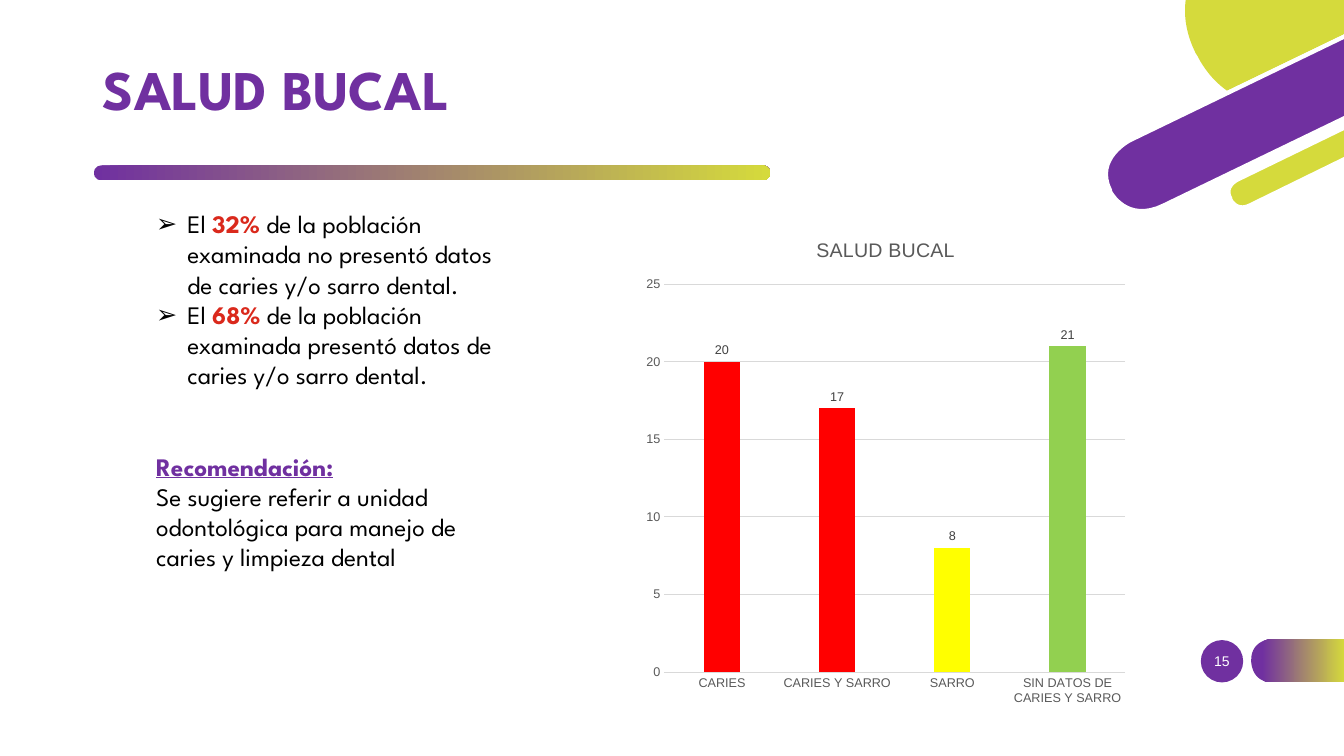
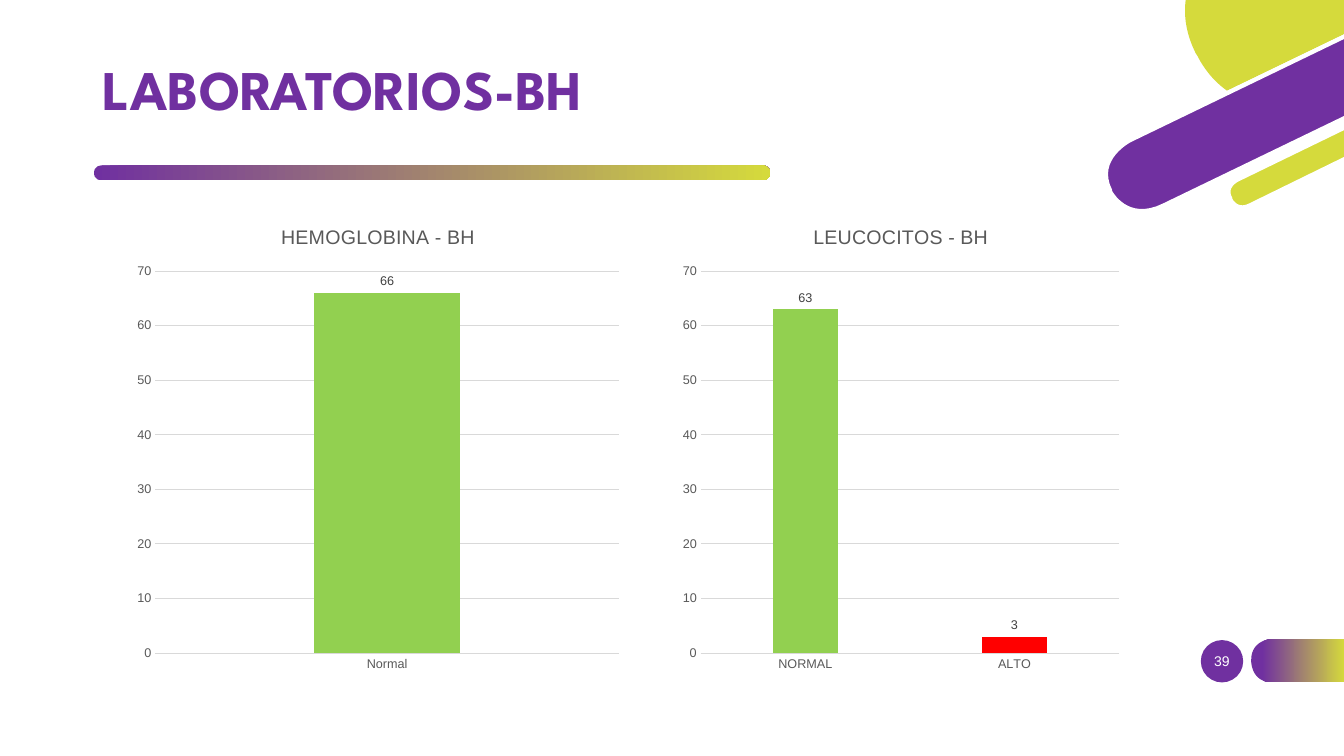
from lxml import etree
from pptx import Presentation
from pptx import util as u
from pptx.chart.data import CategoryChartData
from pptx.dml.color import RGBColor
from pptx.enum import chart as charts, shapes, text
from pptx.oxml.ns import qn
from pptx.util import Inches, Pt

COLORS = {
    "purple": "7030A0", "lime": "D5DA3C", "white": "FFFFFF", "black": "000000",
    "alert": "DA291C", "red": "FF0000", "yellow": "FFFF00", "green": "92D050",
    "axis": "595959", "label": "404040", "grid": "D9D9D9",
}
HEADING_FONT = "League Spartan"
CHART_FONT = "Arial"

# Outlines: a pair is a corner, six numbers are a Bézier curve to the last pair.
LIME_DISC = [(11.88, 0.56), (11.88, 0.56, 11.97, 0.76, 12.17, 0.9), (13.33, 0.34),
             (13.33, 0), (11.76, 0), (11.74, 0.15, 11.76, 0.33, 11.86, 0.53)]
PURPLE_BAND = [(11.21, 1.39), (11.21, 1.39, 10.85, 1.57, 11.01, 1.89),
               (11.01, 1.9), (11.01, 1.9, 11.17, 2.22, 11.54, 2.04),
               (13.36, 1.16), (13.36, 0.35)]
LIME_BAND = [(12.27, 1.78), (12.27, 1.78, 12.13, 1.85, 12.2, 1.97),
             (12.2, 1.98), (12.2, 1.98, 12.26, 2.11, 12.4, 2.04),
             (13.36, 1.57), (13.36, 1.25)]
PAGE_TAB = [(12.62, 6.77), (13.34, 6.77), (13.34, 6.34), (12.62, 6.34),
            (12.62, 6.34, 12.41, 6.34, 12.41, 6.55),
            (12.41, 6.56), (12.41, 6.56, 12.41, 6.77, 12.62, 6.77)]


def rgb(name):
    return RGBColor.from_string(COLORS[name])


def style_font(font, size, color, name=CHART_FONT, bold=False, underline=False):
    font.size, font.name, font.bold, font.underline = Pt(size), name, bold, underline
    font.color.rgb = rgb(color)


def add_text(para, words, **style):
    span = para.add_run()
    span.text = words
    style_font(span.font, **style)


def add_bullet(para, mark, indent):
    props = para._p.get_or_add_pPr()
    props.set("marL", str(indent))
    props.set("indent", str(-indent))
    etree.SubElement(props, qn("a:buFont")).set("typeface", CHART_FONT)
    etree.SubElement(props, qn("a:buChar")).set("char", mark)


def flatten(outline, steps=16):
    """Turn corners and curves into a list of points in EMU."""
    points = []
    for part in outline:
        if len(part) == 2:
            points.append(part)
            continue
        start = points[-1]
        for step in range(1, steps + 1):
            t = step / steps
            weights = ((1 - t) ** 3, 3 * t * (1 - t) ** 2, 3 * t * t * (1 - t), t ** 3)
            curve = (*start, *part)
            points.append(tuple(sum(w * c for w, c in zip(weights, curve[axis::2]))
                                for axis in (0, 1)))
    return [(Inches(x), Inches(y)) for x, y in points]


class HealthDeck:
    """Holds the presentation, its style and the slide being filled."""

    def __init__(self):
        self.deck = Presentation()
        self.deck.slide_width, self.deck.slide_height = Inches(13.33), Inches(7.5)
        self.page = None

    def new_page(self, title, number):
        self.page = self.deck.slides.add_slide(self.deck.slide_layouts[5])
        self.outline(LIME_DISC, "lime")
        self.outline(PURPLE_BAND, "purple", edge=3)
        self.outline(LIME_BAND, "lime", edge=3.5)
        self.fade(self.outline(PAGE_TAB, "purple"), start=0.12)
        rule = self.shape(shapes.MSO_SHAPE.ROUNDED_RECTANGLE, 0.93, 1.64, 6.71, 0.15)
        rule.adjustments[0] = 0.5
        self.fade(rule)
        self.page_number(number)
        self.title(title)

    def finish(self, shape, color, edge=None):
        shape.shadow.inherit = False
        shape.fill.solid()
        shape.fill.fore_color.rgb = rgb(color)
        if edge:
            shape.line.color.rgb = rgb("white")
            shape.line.width = Pt(edge)
        else:
            shape.line.fill.background()
        return shape

    def shape(self, kind, left, top, width, height, color="purple"):
        box = self.page.shapes.add_shape(kind, *map(Inches, (left, top, width, height)))
        return self.finish(box, color)

    def outline(self, outline, color, edge=None):
        first, *others = flatten(outline)
        builder = self.page.shapes.build_freeform(*first, scale=1.0)
        builder.add_line_segments(others, close=True)
        return self.finish(builder.convert_to_shape(), color, edge)

    def fade(self, shape, start=0):
        """Fill from purple on the left to lime on the right."""
        shape.fill.gradient()
        shape.fill.gradient_angle = 0
        for stop, place, color in zip(shape.fill.gradient_stops, (start, 1),
                                      ("purple", "lime")):
            stop.position = place
            stop.color.rgb = rgb(color)

    def page_number(self, number):
        frame = self.shape(shapes.MSO_SHAPE.OVAL, 11.91, 6.35, 0.42, 0.42).text_frame
        frame.margin_left = frame.margin_right = 0
        frame.margin_top = frame.margin_bottom = 0
        frame.vertical_anchor = text.MSO_ANCHOR.MIDDLE
        para = frame.paragraphs[0]
        para.alignment = text.PP_ALIGN.CENTER
        add_text(para, str(number), size=10, color="white")

    def title(self, words):
        box = self.page.shapes.title
        box.left, box.top, box.width, box.height = map(Inches, (0.92, 0.4, 9.9, 1.03))
        frame = box.text_frame
        frame.auto_size = text.MSO_AUTO_SIZE.NONE
        frame.vertical_anchor = text.MSO_ANCHOR.MIDDLE
        para = frame.paragraphs[0]
        para.alignment = text.PP_ALIGN.LEFT
        para.line_spacing = 0.9
        add_text(para, words, size=40, color="purple", name=HEADING_FONT, bold=True)

    def findings(self, bullets, heading, advice):
        """Bullets of (before, figure, after), then a headed recommendation."""
        box = self.page.shapes.add_textbox(*map(Inches, (1.45, 2.02, 3.65, 4.34)))
        frame = box.text_frame
        frame.word_wrap = True
        body = {"size": 18, "name": HEADING_FONT, "color": "black"}
        strong = {**body, "bold": True}
        para = frame.paragraphs[0]
        for before, figure, after in bullets:
            add_bullet(para, "➢", Inches(0.31))
            add_text(para, before, **body)
            add_text(para, figure, **{**strong, "color": "alert"})
            add_text(para, after, **body)
            para = frame.add_paragraph()
        para.space_before = Pt(43.5)
        add_text(para, heading, **{**strong, "color": "purple"}, underline=True)
        add_text(frame.add_paragraph(), advice, **body)

    def column_chart(self, title, place, bars, top_value, step, foot=0.28):
        """Bars are (category, value, colour); foot is the room for categories."""
        data = CategoryChartData()
        data.categories = [name for name, _, _ in bars]
        data.add_series("Series 1", [value for _, value, _ in bars])
        chart = self.page.shapes.add_chart(
            charts.XL_CHART_TYPE.COLUMN_CLUSTERED, *map(Inches, place), data).chart
        style_font(chart.font, 10, "black")
        chart.has_legend = False
        chart.has_title = True
        add_text(chart.chart_title.text_frame.paragraphs[0], title, size=14, color="axis")
        chart.chart_title.include_in_layout = False

        plot = chart.plots[0]
        plot.gap_width, plot.overlap, plot.vary_by_categories = 219, -27, False
        plot.has_data_labels = True
        labels = plot.data_labels
        labels.show_value = True
        labels.position = charts.XL_LABEL_POSITION.OUTSIDE_END
        style_font(labels.font, 9, "label")
        for index, (_, _, color) in enumerate(bars):
            fill = plot.series[0].points[index].format.fill
            fill.solid()
            fill.fore_color.rgb = rgb(color)

        categories, values = chart.category_axis, chart.value_axis
        for axis in (categories, values):
            axis.major_tick_mark = axis.minor_tick_mark = charts.XL_TICK_MARK.NONE
            style_font(axis.tick_labels.font, 9, "axis")
        values.minimum_scale, values.maximum_scale, values.major_unit = 0, top_value, step
        values.format.line.fill.background()
        values.has_major_gridlines = True
        for line in (categories.format.line, values.major_gridlines.format.line):
            line.color.rgb = rgb("grid")
            line.width = Pt(0.75)
        self.place_plot(chart, place[2], place[3], foot)

    def place_plot(self, chart, width, height, foot):
        """Fix the plot area inside the chart by margins in inches."""
        left, top, right = 0.28, 0.65, 0.1
        area = chart._chartSpace.find(".//" + qn("c:plotArea"))
        for old in area.findall(qn("c:layout")):
            area.remove(old)
        layout = etree.Element(qn("c:layout"))
        area.insert(0, layout)
        manual = etree.SubElement(layout, qn("c:manualLayout"))
        for tag, value in (("layoutTarget", "inner"), ("xMode", "edge"), ("yMode", "edge"),
                           ("x", left / width), ("y", top / height),
                           ("w", (width - left - right) / width),
                           ("h", (height - top - foot) / height)):
            etree.SubElement(manual, qn("c:" + tag)).set("val", str(value))


def main():
    health = HealthDeck()

    health.new_page("SALUD BUCAL", 15)
    health.findings(
        [("El ", "32%", " de la población examinada no presentó datos de caries y/o sarro dental."),
         ("El ", "68%", " de la población examinada presentó datos de caries y/o sarro dental.")],
        "Recomendación:",
        "Se sugiere referir a unidad odontológica para manejo de caries y limpieza dental")
    health.column_chart(
        "SALUD BUCAL", (6.31, 2.17, 4.95, 4.93),
        [("CARIES", 20, "red"), ("CARIES Y SARRO", 17, "red"), ("SARRO", 8, "yellow"),
         ("SIN DATOS DE CARIES Y SARRO", 21, "green")],
        top_value=25, step=5, foot=0.43)

    health.new_page("LABORATORIOS-BH", 39)
    health.column_chart("HEMOGLOBINA - BH", (1.26, 2.04, 4.98, 4.72),
                        [("Normal", 66, "green")], top_value=70, step=10)
    health.column_chart("LEUCOCITOS - BH", (6.67, 2.04, 4.53, 4.72),
                        [("NORMAL", 63, "green"), ("ALTO", 3, "red")],
                        top_value=70, step=10)

    health.deck.save("out.pptx")


if __name__ == "__main__":
    main()
